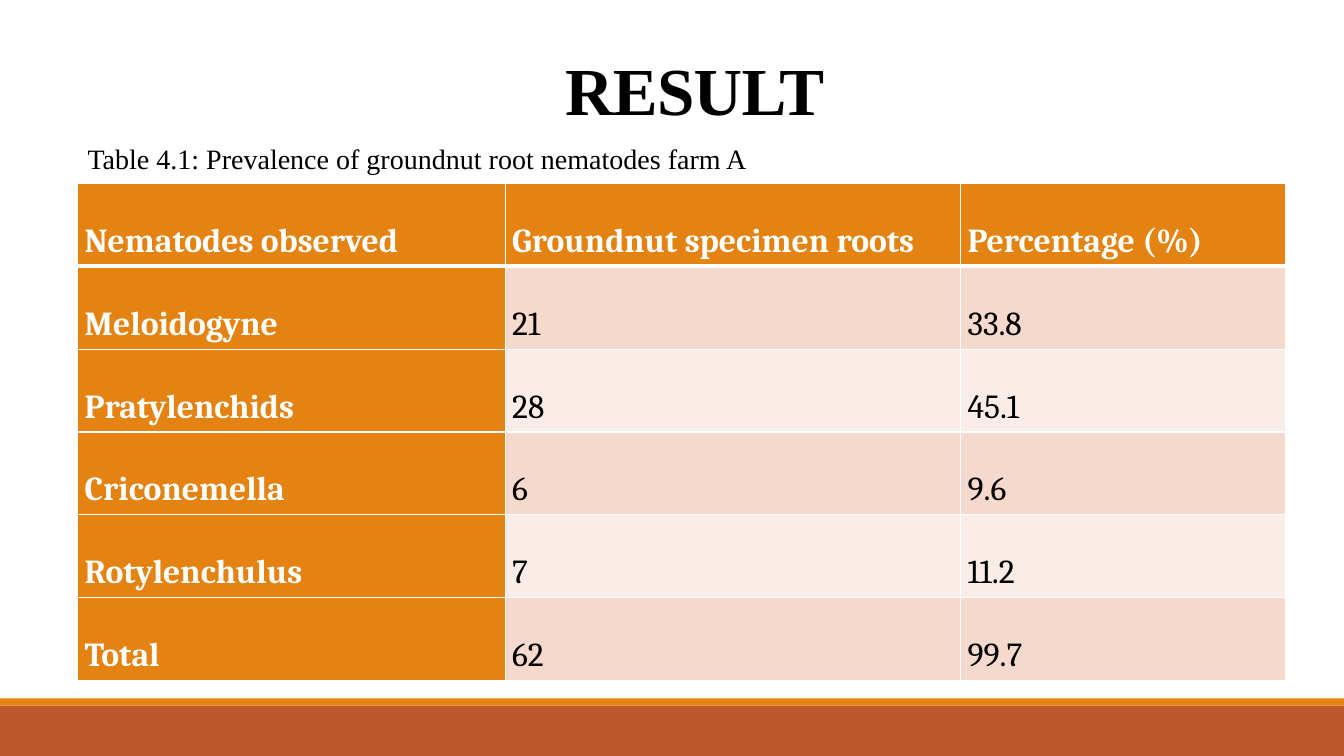
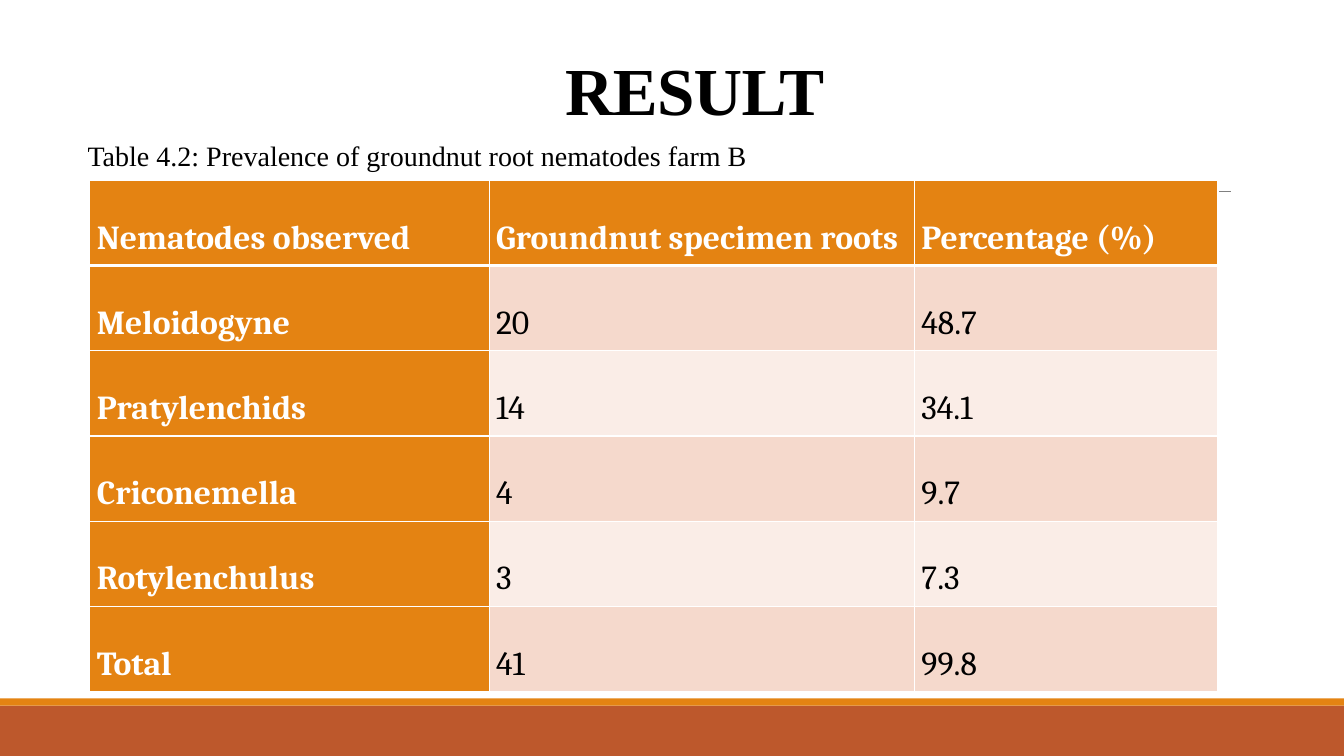
from lxml.etree import SubElement
from pptx import Presentation
from pptx.dml.color import RGBColor
from pptx.enum.shapes import MSO_CONNECTOR as Conn, MSO_SHAPE as Shape
from pptx.enum.text import MSO_ANCHOR as Anchor, PP_ALIGN as Align
from pptx.oxml.ns import qn
from pptx.util import Inches, Pt

WHITE = RGBColor(0xFF, 0xFF, 0xFF)
BLACK = RGBColor(0, 0, 0)
GRAY = RGBColor(0x80, 0x80, 0x80)
RUST = RGBColor(0xBD, 0x58, 0x2C)
ORANGE = RGBColor(0xE4, 0x83, 0x12)
TINTS = RGBColor(0xF5, 0xD9, 0xCC), RGBColor(0xFA, 0xED, 0xE7)

WIDE, HIGH = 13.33, 7.5
SHARES = 0.354, 0.377, 0.269
BANDS = [(7, 0.5, RUST), (6.93, 0.07, ORANGE)]
HEAD = ["Nematodes observed", "Groundnut specimen roots", "Percentage (%)"]
NAMES = ["Meloidogyne", "Pratylenchids", "Criconemella", "Rotylenchulus", "Total"]
FARMS = [
    dict(
        caption="Table 4.1: Prevalence of groundnut root nematodes farm A",
        box=(0.77, 1.82, 11.98, 4.93),
        counts=["21", "28", "6", "7", "62"],
        rates=["33.8", "45.1", "9.6", "11.2", "99.7"],
    ),
    dict(
        caption="Table 4.2: Prevalence of groundnut root nematodes farm B",
        box=(0.89, 1.79, 11.19, 5.07),
        counts=["20", "14", "4", "3", "41"],
        rates=["48.7", "34.1", "9.7", "7.3", "99.8"],
    ),
]


def style(para, face, size, color, bold=False):
    font = para.font
    font.name, font.size, font.bold = face, Pt(size), bold
    font.color.rgb = color


def dress(layout, slide):
    """Move the bands and rule, drawn on a slide, to the shared layout."""
    parts = []
    for top, high, color in BANDS:
        band = slide.shapes.add_shape(
            Shape.RECTANGLE, 0, Inches(top), Inches(WIDE), Inches(high))
        band.shadow.inherit = False
        band.fill.solid()
        band.fill.fore_color.rgb = color
        band.line.fill.background()
        parts.append(band)
    rule = slide.shapes.add_connector(
        Conn.STRAIGHT, Inches(1.31), Inches(1.9), Inches(12.21), Inches(1.9))
    rule.line.color.rgb = GRAY
    rule.line.width = Pt(0.5)
    SubElement(rule.element.spPr, qn("a:effectLst"))
    for part in parts + [rule]:
        layout.shapes.element.append(part.element)


def add_title(slide):
    frame = slide.shapes.title.text_frame
    frame.text = "RESULT"
    frame.vertical_anchor = Anchor.BOTTOM
    para = frame.paragraphs[0]
    para.alignment = Align.CENTER
    para.line_spacing = 0.85
    style(para, "Times New Roman", 48, BLACK, True)
    para.runs[0].font._element.set("spc", "-50")


def add_caption(slide, text, top):
    box = slide.shapes.add_textbox(Inches(0.77), Inches(top), Inches(7), Inches(0.44))
    frame = box.text_frame
    frame.word_wrap = True
    frame.vertical_anchor = Anchor.MIDDLE
    frame.text = text
    style(frame.paragraphs[0], "Times New Roman", 20, BLACK)


def edge(cell, side, width):
    line = SubElement(cell._tc.get_or_add_tcPr(), qn("a:ln" + side), w=str(Pt(width)))
    fill = SubElement(line, qn("a:solidFill"))
    SubElement(fill, qn("a:srgbClr"), val=str(WHITE))


def fill_cell(cell, text, row, col):
    for side in "LRTB":
        thick = (row, side) in ((0, "B"), (1, "T"))
        edge(cell, side, 3 if thick else 1)
    strong = row == 0 or col == 0
    cell.fill.solid()
    cell.fill.fore_color.rgb = ORANGE if strong else TINTS[(row - 1) % 2]
    cell.margin_left = cell.margin_right = Inches(0.07)
    cell.margin_top = cell.margin_bottom = 0
    cell.text = text
    para = cell.text_frame.paragraphs[0]
    para.alignment = Align.JUSTIFY
    para.line_spacing = 2.0
    para.space_before = Pt(12)
    style(para, "Cambria", 24, WHITE if strong else BLACK, strong)


def add_grid(slide, rows, box):
    grid = slide.shapes.add_table(len(rows), len(HEAD), *map(Inches, box)).table
    for col, share in zip(grid.columns, SHARES):
        col.width = Inches(box[2] * share)
    for r, row in enumerate(rows):
        grid.rows[r].height = Inches(box[3] / len(rows))
        for c, text in enumerate(row):
            fill_cell(grid.cell(r, c), text, r, c)


def main():
    deck = Presentation()
    deck.slide_width, deck.slide_height = Inches(WIDE), Inches(HIGH)
    layout = deck.slide_layouts.get_by_name("Title Only")
    title = layout.placeholders[0]
    title.left, title.top, title.width, title.height = map(Inches, (0.89, 0.39, 12, 0.94))
    for i, farm in enumerate(FARMS):
        slide = deck.slides.add_slide(layout)
        if i == 0:
            dress(layout, slide)
        add_title(slide)
        rows = [HEAD, *zip(NAMES, farm["counts"], farm["rates"])]
        add_grid(slide, rows, farm["box"])
        add_caption(slide, farm["caption"], farm["box"][1] - 0.47)
    deck.save("out.pptx")


if __name__ == "__main__":
    main()
